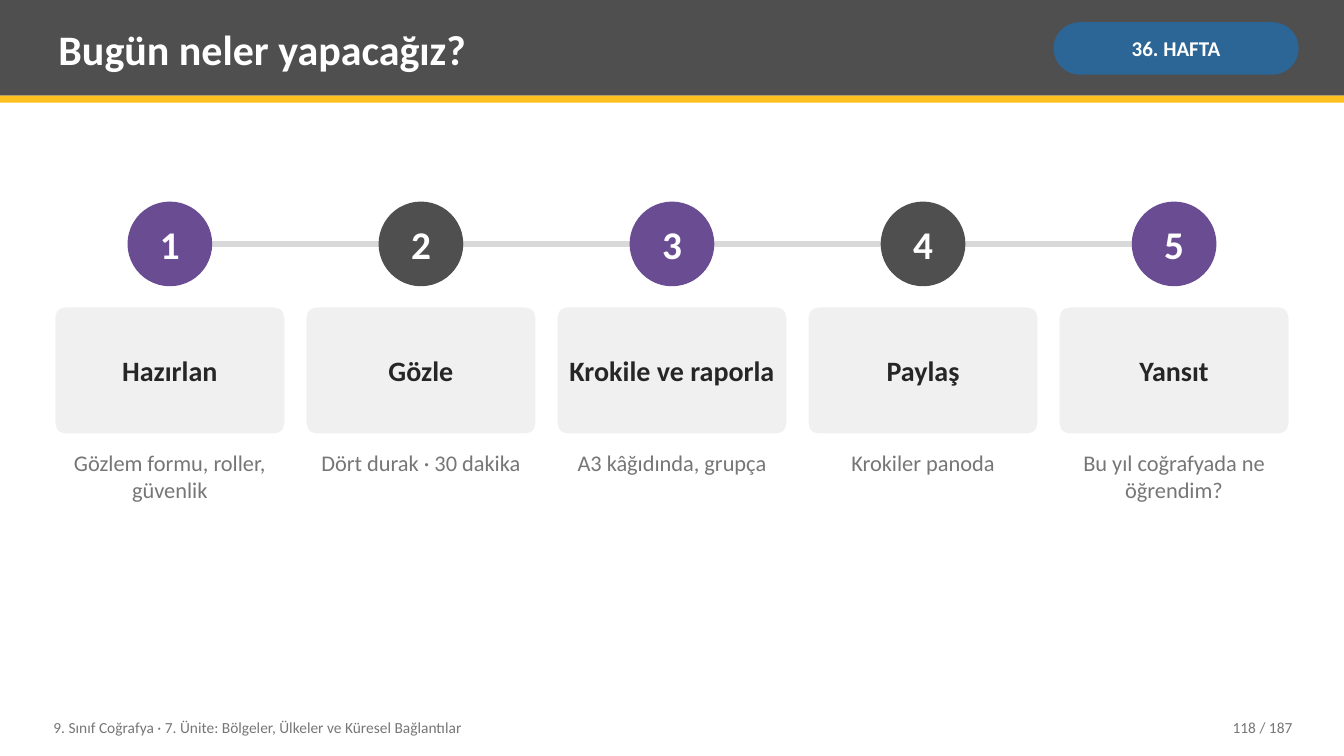
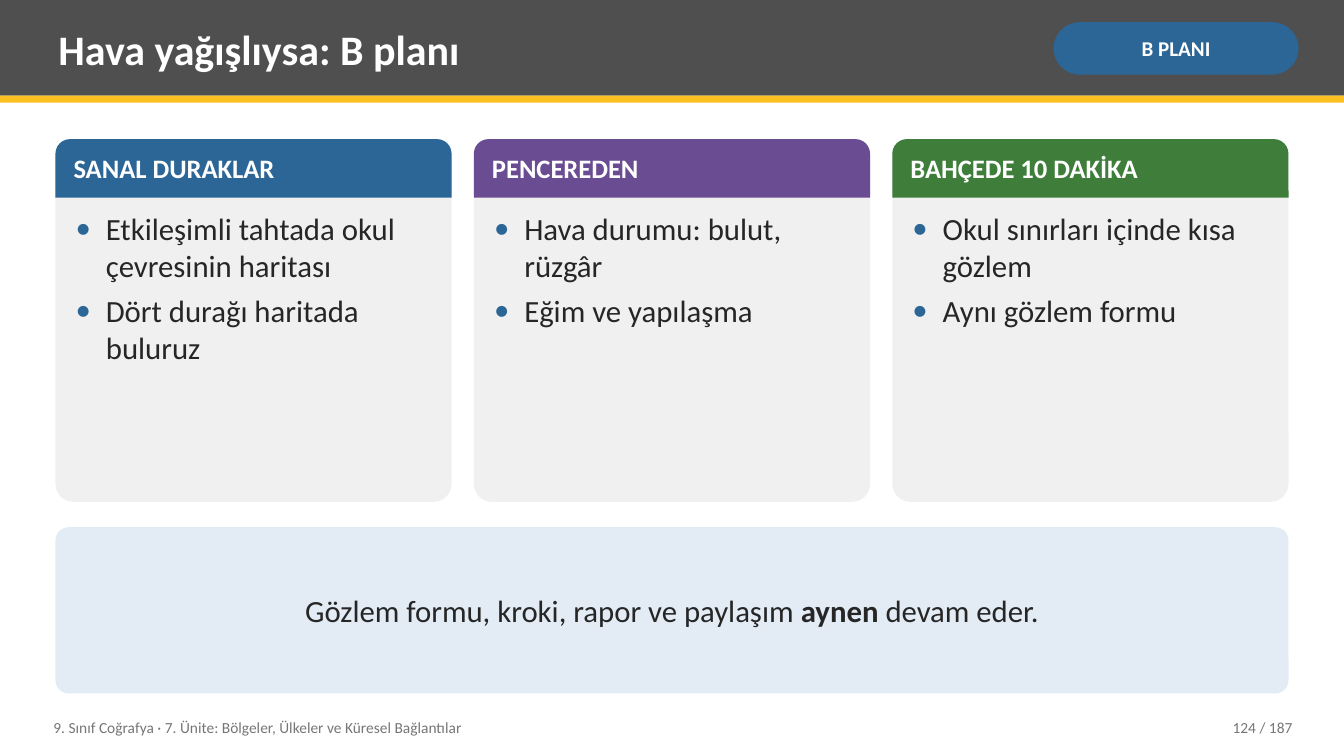
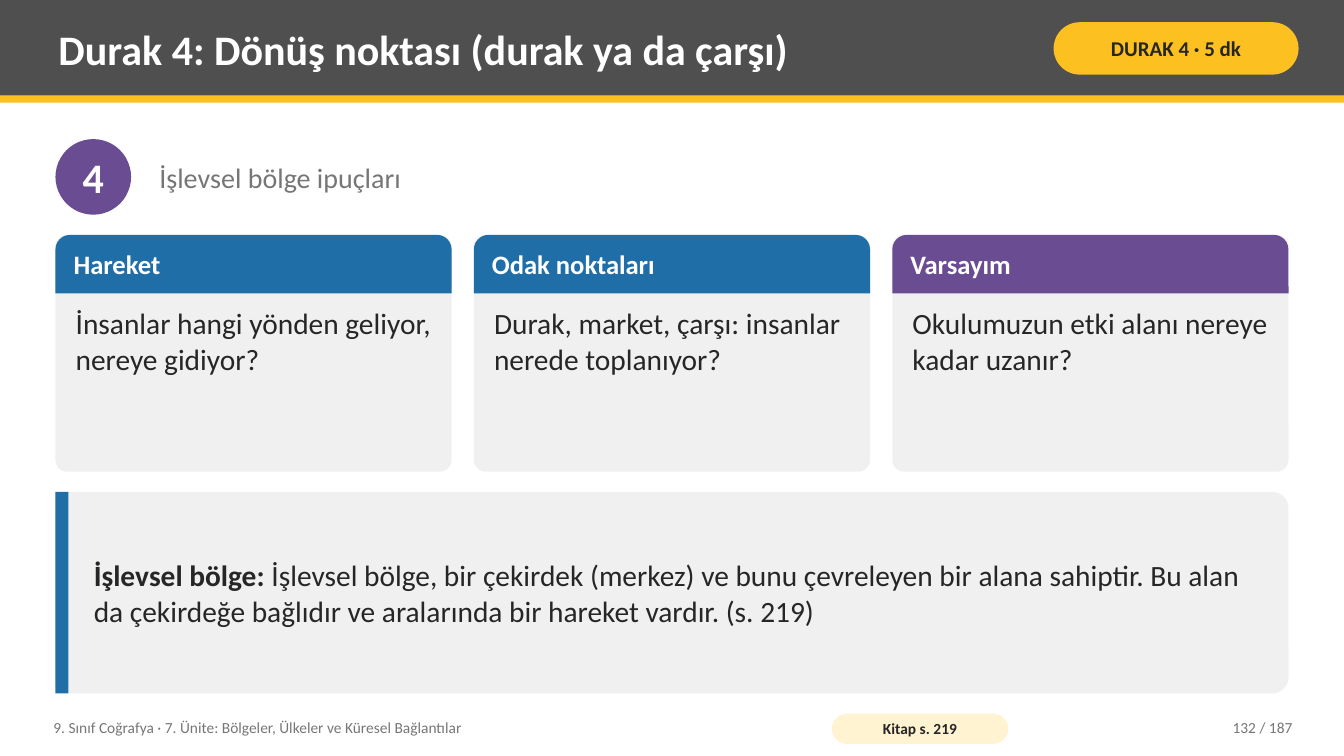
"""Build three geography lesson slides: agenda, rain plan and stop four."""
from lxml import etree
from pptx import Presentation
from pptx.dml.color import RGBColor
from pptx.enum.shapes import MSO_CONNECTOR, MSO_SHAPE
from pptx.enum.text import MSO_ANCHOR, PP_ALIGN
from pptx.oxml.ns import qn
from pptx.util import Emu, Pt

RECT, ROUND, CAP, OVAL = (MSO_SHAPE.RECTANGLE, MSO_SHAPE.ROUNDED_RECTANGLE,
                          MSO_SHAPE.ROUND_2_SAME_RECTANGLE, MSO_SHAPE.OVAL)
STRAIGHT = MSO_CONNECTOR.STRAIGHT
TOP, MIDDLE = MSO_ANCHOR.TOP, MSO_ANCHOR.MIDDLE
LEFT, CENTER, RIGHT = PP_ALIGN.LEFT, PP_ALIGN.CENTER, PP_ALIGN.RIGHT

WHITE = RGBColor(0xFF, 0xFF, 0xFF)
INK = RGBColor(0x26, 0x26, 0x26)
CHARCOAL = RGBColor(0x4F, 0x4F, 0x4F)
MUTED = RGBColor(0x76, 0x76, 0x76)
RAIL = RGBColor(0xD9, 0xD9, 0xD9)
PANEL = RGBColor(0xF0, 0xF0, 0xF0)
YELLOW = RGBColor(0xFC, 0xC0, 0x21)
CREAM = RGBColor(0xFF, 0xF3, 0xD1)
BLUE = RGBColor(0x2C, 0x66, 0x96)
BRIGHT_BLUE = RGBColor(0x1F, 0x6E, 0xA8)
PALE_BLUE = RGBColor(0xE3, 0xEC, 0xF5)
PURPLE = RGBColor(0x6A, 0x4C, 0x93)
GREEN = RGBColor(0x3E, 0x7D, 0x3A)

FONT = "Calibri"
PX = 9144
WIDTH, HEIGHT = 1333, 750
MARGIN, CONTENT, GAP = 55, 1223, 22
BODY_TOP, BODY_BOTTOM = 138, 688
CAP_HEIGHT, BULLET_INDENT = 58, 30
TEXT_INSETS = (8, 4, 8, 4)

FOOTER = "9. Sınıf Coğrafya · 7. Ünite: Bölgeler, Ülkeler ve Küresel Bağlantılar"
PAGE_TOTAL = 187

AGENDA = {"title": "Bugün neler yapacağız?", "tag": "36. HAFTA", "number": 118}
STEPS = [
    ("Hazırlan", "Gözlem formu, roller, güvenlik"),
    ("Gözle", "Dört durak · 30 dakika"),
    ("Krokile ve raporla", "A3 kâğıdında, grupça"),
    ("Paylaş", "Krokiler panoda"),
    ("Yansıt", "Bu yıl coğrafyada ne öğrendim?"),
]

RAIN_PLAN = {"title": "Hava yağışlıysa: B planı", "tag": "B PLANI", "number": 124}
RAIN_CARDS = [
    ("SANAL DURAKLAR", BLUE,
     ["Etkileşimli tahtada okul çevresinin haritası", "Dört durağı haritada buluruz"]),
    ("PENCEREDEN", PURPLE, ["Hava durumu: bulut, rüzgâr", "Eğim ve yapılaşma"]),
    ("BAHÇEDE 10 DAKİKA", GREEN,
     ["Okul sınırları içinde kısa gözlem", "Aynı gözlem formu"]),
]
RAIN_NOTE = [("Gözlem formu, kroki, rapor ve paylaşım ", False), ("aynen", True),
             (" devam eder.", False)]

STOP = {"title": "Durak 4: Dönüş noktası (durak ya da çarşı)", "tag": "DURAK 4 · 5 dk",
        "number": 132, "tag_fill": YELLOW, "tag_color": INK}
STOP_NUMBER, STOP_HINT = "4", "İşlevsel bölge ipuçları"
STOP_CARDS = [
    ("Hareket", BRIGHT_BLUE, ["İnsanlar hangi yönden geliyor, nereye gidiyor?"]),
    ("Odak noktaları", BRIGHT_BLUE, ["Durak, market, çarşı: insanlar nerede toplanıyor?"]),
    ("Varsayım", PURPLE, ["Okulumuzun etki alanı nereye kadar uzanır?"]),
]
DEFINITION = [
    ("İşlevsel bölge:", True),
    (" İşlevsel bölge, bir çekirdek (merkez) ve bunu çevreleyen bir alana sahiptir. "
     "Bu alan da çekirdeğe bağlıdır ve aralarında bir hareket vardır. (s. 219)", False),
]
BOOK_PAGE = "Kitap s. 219"


def px(*lengths):
    return [Emu(round(length * PX)) for length in lengths]


def add_bullet(para):
    properties = para._p.get_or_add_pPr()
    indent = px(BULLET_INDENT)[0]
    properties.set("marL", str(indent))
    properties.set("indent", str(-indent))
    color = etree.SubElement(properties, qn("a:buClr"))
    etree.SubElement(color, qn("a:srgbClr"), val=str(BLUE))
    etree.SubElement(properties, qn("a:buFont"), typeface=FONT)
    etree.SubElement(properties, qn("a:buChar"), char="•")


def write(box, paragraphs, size, color, bold=False, align=LEFT, anchor=MIDDLE,
          insets=TEXT_INSETS, wrap=True, bullets=False):
    frame = box.text_frame
    left, top, right, bottom = px(*insets)
    frame_format = {"word_wrap": wrap, "vertical_anchor": anchor, "margin_left": left,
                    "margin_top": top, "margin_right": right, "margin_bottom": bottom}
    for name, value in frame_format.items():
        setattr(frame, name, value)
    if isinstance(paragraphs, str):
        paragraphs = [paragraphs]
    for index, content in enumerate(paragraphs):
        para = frame.add_paragraph() if index else frame.paragraphs[0]
        para.alignment = align
        if bullets:
            add_bullet(para)
        if index:
            para.space_before = Pt(6)
        spans = [(content, bold)] if isinstance(content, str) else content
        for words, strong in spans:
            span = para.add_run()
            span.text = words
            font_format = {"name": FONT, "size": Pt(size), "bold": strong}
            for name, value in font_format.items():
                setattr(span.font, name, value)
            span.font.color.rgb = color


def add_text(page, area, paragraphs, size, color, **options):
    write(page.shapes.add_textbox(*px(*area)), paragraphs, size, color, **options)


def add_block(page, kind, area, fill, corner=None):
    block = page.shapes.add_shape(kind, *px(*area))
    block.shadow.inherit = False
    block.fill.solid()
    block.fill.fore_color.rgb = fill
    block.line.fill.background()
    if corner is not None:
        block.adjustments[0] = corner
    return block


def add_circle(page, left, top, size, fill, label, text_size):
    circle = add_block(page, OVAL, (left, top, size, size), fill)
    write(circle, label, text_size, WHITE, bold=True, align=CENTER,
          insets=(0, 0, 0, 0), wrap=False)


def columns(count):
    width = (CONTENT - GAP * (count - 1)) / count
    return [(MARGIN + index * (width + GAP), width) for index in range(count)]


def add_page(deck, title, tag, number, tag_fill=BLUE, tag_color=WHITE):
    page = deck.slides.add_slide(deck.slide_layouts[6])
    add_block(page, RECT, (0, 0, WIDTH, 95), CHARCOAL)
    add_block(page, RECT, (0, 95, WIDTH, 7), YELLOW)
    add_text(page, (50, 7, 975, 82), title, 30, WHITE, bold=True)
    pill = add_block(page, ROUND, (1045, 22, 243, 52), tag_fill, 0.5)
    write(pill, tag, 15, tag_color, bold=True, align=CENTER, insets=(5, 2, 5, 2))
    add_text(page, (45, 704, 760, 36), FOOTER, 11, MUTED)
    add_text(page, (1130, 704, 160, 36), f"{number} / {PAGE_TOTAL}", 11, MUTED, align=RIGHT)
    return page


def add_cards(page, cards, top, height, size, bullets=False):
    for (heading, color, body), (left, width) in zip(cards, columns(len(cards))):
        add_block(page, ROUND, (left, top, width, height), PANEL, 0.05)
        add_block(page, CAP, (left, top, width, CAP_HEIGHT), color, 0.25)
        add_text(page, (left + 10, top, width - 20, CAP_HEIGHT), heading, 19, WHITE, bold=True)
        body_area = (left + 12, top + CAP_HEIGHT + 8, width - 24, height - CAP_HEIGHT - 16)
        add_text(page, body_area, body, size, INK, anchor=TOP, bullets=bullets)


def build_agenda(deck):
    page = add_page(deck, **AGENDA)
    circle_top, circle_size = 200, 84
    slots = columns(len(STEPS))
    centers = [left + width / 2 for left, width in slots]
    middle = circle_top + circle_size / 2
    rail = page.shapes.add_connector(STRAIGHT, *px(centers[0], middle, centers[-1], middle))
    rail.line.color.rgb = RAIL
    rail.line.width = Pt(4)
    etree.SubElement(rail._element.spPr, qn("a:effectLst"))
    for index, ((name, detail), (left, width)) in enumerate(zip(STEPS, slots)):
        fill = CHARCOAL if index % 2 else PURPLE
        add_circle(page, centers[index] - circle_size / 2, circle_top, circle_size,
                   fill, str(index + 1), 28)
        card = add_block(page, ROUND, (left, 305, width, 125), PANEL, 0.08)
        write(card, name, 20, INK, bold=True, align=CENTER, insets=(8, 8, 8, 8))
        add_text(page, (left, 442, width, 190), detail, 16, MUTED, align=CENTER, anchor=TOP)


def build_rain_plan(deck):
    page = add_page(deck, **RAIN_PLAN)
    add_cards(page, RAIN_CARDS, BODY_TOP, 360, 22, bullets=True)
    note_top = 523
    note = add_block(page, ROUND, (MARGIN, note_top, CONTENT, BODY_BOTTOM - note_top),
                     PALE_BLUE, 0.08)
    write(note, [RAIN_NOTE], 22, INK, align=CENTER, insets=(22, 8, 22, 8))


def build_stop(deck):
    page = add_page(deck, **STOP)
    add_circle(page, MARGIN, BODY_TOP, 75, PURPLE, STOP_NUMBER, 30)
    add_text(page, (150, BODY_TOP, 1128, 75), STOP_HINT, 20, MUTED)
    add_cards(page, STOP_CARDS, 233, 235, 21)
    top = 488
    height = BODY_BOTTOM - top
    add_block(page, ROUND, (MARGIN, top, CONTENT, height), PANEL, 0.08)
    add_block(page, RECT, (MARGIN, top, 13, height), BRIGHT_BLUE)
    add_text(page, (85, top, 1178, height), [DEFINITION], 21, INK)
    book = add_block(page, ROUND, (825, 708, 175, 30), CREAM, 0.5)
    write(book, BOOK_PAGE, 11, INK, bold=True, align=CENTER, insets=(4, 0, 4, 0))


def main():
    deck = Presentation()
    deck.slide_width, deck.slide_height = px(WIDTH, HEIGHT)
    build_agenda(deck)
    build_rain_plan(deck)
    build_stop(deck)
    deck.save("out.pptx")


if __name__ == "__main__":
    main()
